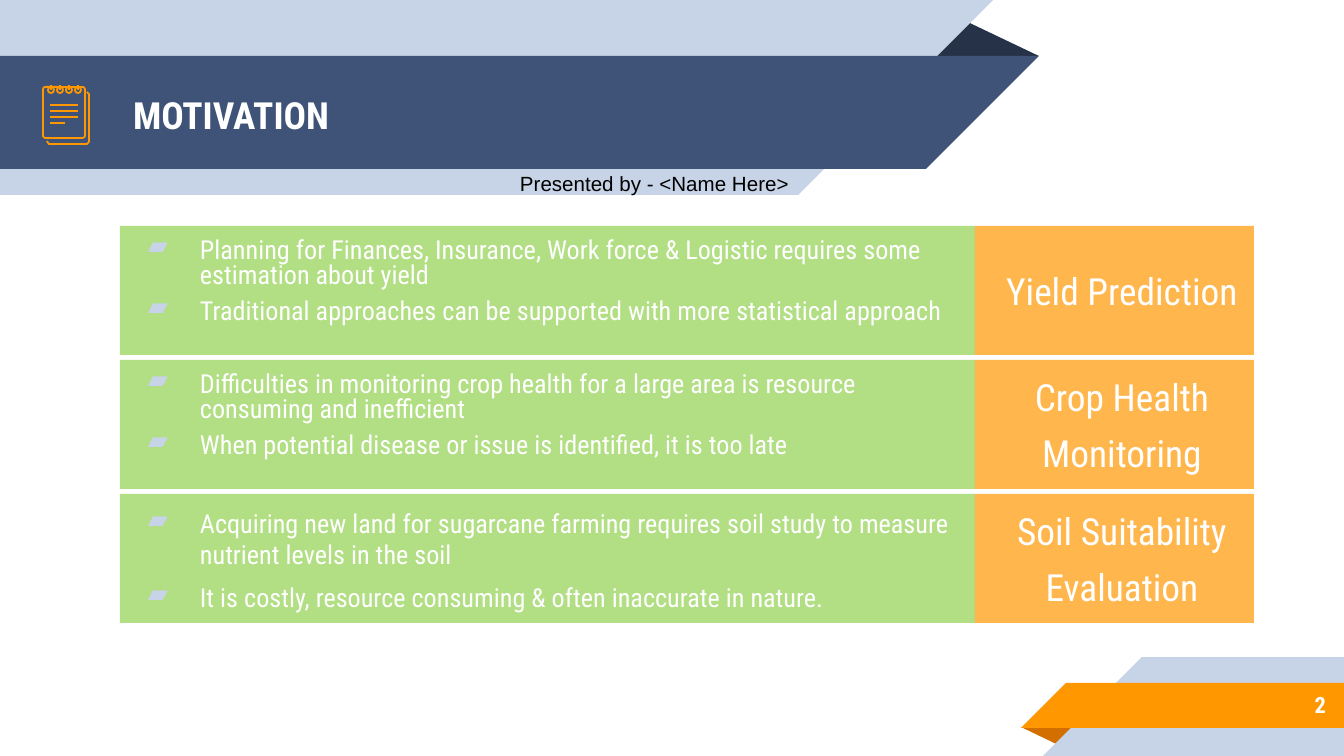
from lxml.etree import SubElement
from pptx import Presentation
from pptx.dml.color import RGBColor
from pptx.enum.shapes import MSO_CONNECTOR, MSO_SHAPE
from pptx.enum.text import MSO_ANCHOR, PP_ALIGN
from pptx.oxml.ns import qn
from pptx.util import Pt

PX = 914400 / 134.4
INSET = 13

NAVY = RGBColor(0x3F, 0x53, 0x78)
DARK_NAVY = RGBColor(0x26, 0x32, 0x48)
PALE_BLUE = RGBColor(0xC7, 0xD3, 0xE6)
ORANGE = RGBColor(0xFF, 0x98, 0x00)
DARK_ORANGE = RGBColor(0xD2, 0x6F, 0x00)
GREEN = RGBColor(0x92, 0xD0, 0x50)
WHITE = RGBColor(0xFF, 0xFF, 0xFF)
BLACK = RGBColor(0x00, 0x00, 0x00)


def px(*lengths):
    return [round(length * PX) for length in lengths]


def write(shape, lines, size, color=WHITE, font="Roboto Condensed", bold=False,
          align=PP_ALIGN.LEFT, anchor=MSO_ANCHOR.MIDDLE, inset_y=INSET,
          indented=False, bulleted=False, spacing=None):
    """Fill a shape with one paragraph per line."""
    frame = shape.text_frame
    frame.word_wrap = True
    frame.vertical_anchor = anchor
    frame.margin_left, frame.margin_right = px(INSET, INSET)
    frame.margin_top, frame.margin_bottom = px(inset_y, inset_y)
    frame.text = "\n".join(lines)
    for index, paragraph in enumerate(frame.paragraphs):
        paragraph.alignment = align
        if spacing:
            paragraph.line_spacing = spacing
        if index:
            paragraph.space_before = Pt(6)
        properties = paragraph._p.get_or_add_pPr()
        if indented:
            margin, hanging = px(67, -52)
            properties.set("marL", str(margin))
            properties.set("indent", str(hanging))
        if bulleted:
            bullet_color = SubElement(properties, qn("a:buClr"))
            SubElement(bullet_color, qn("a:srgbClr"), val=str(PALE_BLUE))
            SubElement(properties, qn("a:buChar"), char="▰")
        paragraph.font.name = font
        paragraph.font.size = Pt(size)
        paragraph.font.bold = bold
        paragraph.font.color.rgb = color


deck = Presentation()
deck.slide_width, deck.slide_height = px(1344, 756)
slide = deck.slides.add_slide(deck.slide_layouts[6])
shapes = slide.shapes

# Ribbons at the top left and bottom right, each with a folded corner
RECT, CORNER, FOLD = (MSO_SHAPE.RECTANGLE, MSO_SHAPE.RIGHT_TRIANGLE,
                      MSO_SHAPE.ISOSCELES_TRIANGLE)
for preset, box, color, rotation in [
    (FOLD, (925, 19, 114, 37), DARK_NAVY, 0),
    (RECT, (0, 0, 798, 195), PALE_BLUE, 0),
    (CORNER, (798, 0, 195, 195), PALE_BLUE, 90),
    (RECT, (0, 56, 926, 113), NAVY, 0),
    (CORNER, (926, 56, 113, 113), NAVY, 90),
    (FOLD, (1021, 727, 58, 19), DARK_ORANGE, 180),
    (RECT, (1142, 657, 202, 99), PALE_BLUE, 0),
    (CORNER, (1043, 657, 99, 99), PALE_BLUE, 270),
    (RECT, (1066, 683, 278, 45), ORANGE, 0),
    (CORNER, (1021, 683, 45, 45), ORANGE, 270),
]:
    ribbon = shapes.add_shape(preset, *px(*box))
    ribbon.shadow.inherit = False
    ribbon.fill.solid()
    ribbon.fill.fore_color.rgb = color
    ribbon.line.fill.background()
    ribbon.rotation = rotation
    if preset == FOLD:
        ribbon.adjustments[0] = 0.32

title = shapes.add_textbox(*px(120, 58, 773, 113))
write(title, ["MOTIVATION"], 20, bold=True)
page_number = shapes.add_textbox(*px(1120, 681, 219, 47))
write(page_number, ["2"], 12, bold=True, align=PP_ALIGN.RIGHT)

# Motivation rows: reasons on the left, topic on the right
rows = [
    (["Yield Prediction"], 0.8,
     ["Planning for Finances, Insurance, Work force & Logistic requires some "
      "estimation about yield",
      "Traditional approaches can be supported with more statistical approach"]),
    (["Crop Health", "Monitoring"], 0.8,
     ["Difficulties in monitoring crop health for a large area is resource "
      "consuming and inefficient",
      "When potential disease or issue is identified, it is too late"]),
    (["Soil Suitability", "Evaluation"], None,
     ["Acquiring new land for sugarcane farming requires soil study to measure "
      "nutrient levels in the soil",
      "It is costly, resource consuming & often inaccurate in nature."]),
]
for index, (topic, spacing, reasons) in enumerate(rows):
    top = 226 + 134 * index
    reason_panel = shapes.add_shape(RECT, *px(120, top, 855, 129))
    topic_panel = shapes.add_shape(RECT, *px(975, top, 279, 129))
    for panel, color in [(reason_panel, GREEN), (topic_panel, ORANGE)]:
        panel.shadow.inherit = False
        panel.fill.solid()
        panel.fill.fore_color.rgb = color
        panel.line.fill.background()
        solid = panel._element.spPr.find(qn("a:solidFill"))
        SubElement(solid[0], qn("a:alpha"), val="70000")
    write(reason_panel, reasons, 14, anchor=MSO_ANCHOR.TOP, indented=True,
          bulleted=True, spacing=spacing)
    write(topic_panel, topic, 20, align=PP_ALIGN.CENTER, indented=True)

# Notepad icon: back sheet, front sheet, binding rings, then pins and writing
back_sheet = shapes.build_freeform(47, 141, scale=PX)
back_sheet.add_line_segments(
    [(49, 144), (87, 144), (89, 142), (89, 94), (87, 92)], close=False)
front_sheet = shapes.add_shape(MSO_SHAPE.ROUNDED_RECTANGLE, *px(43, 87, 42, 51))
front_sheet.adjustments[0] = 0.06
ring_lefts = [48 + 9 * index for index in range(4)]
rings = [shapes.add_shape(MSO_SHAPE.OVAL, *px(left, 87, 6, 6))
         for left in ring_lefts]
for outline in [back_sheet.convert_to_shape(), front_sheet, *rings]:
    outline.shadow.inherit = False
    outline.fill.background()
    outline.line.color.rgb = ORANGE
    outline.line.width = Pt(0.96)

pins = [(left + 3, 85, left + 3, 90) for left in ring_lefts]
writing = [(50, 105 + 6 * index, right, 105 + 6 * index)
           for index, right in enumerate([78, 78, 78, 65])]
for ends in pins + writing:
    stroke = shapes.add_connector(MSO_CONNECTOR.STRAIGHT, *px(*ends))
    stroke.line.color.rgb = ORANGE
    stroke.line.width = Pt(0.96)
    SubElement(stroke._element.spPr, qn("a:effectLst"))

presenter = shapes.add_textbox(*px(507, 164, 347, 39))
write(presenter, ["Presented by - <Name Here>"], 11, color=BLACK, font="Arial",
      anchor=MSO_ANCHOR.TOP, inset_y=7)

deck.save("out.pptx")
